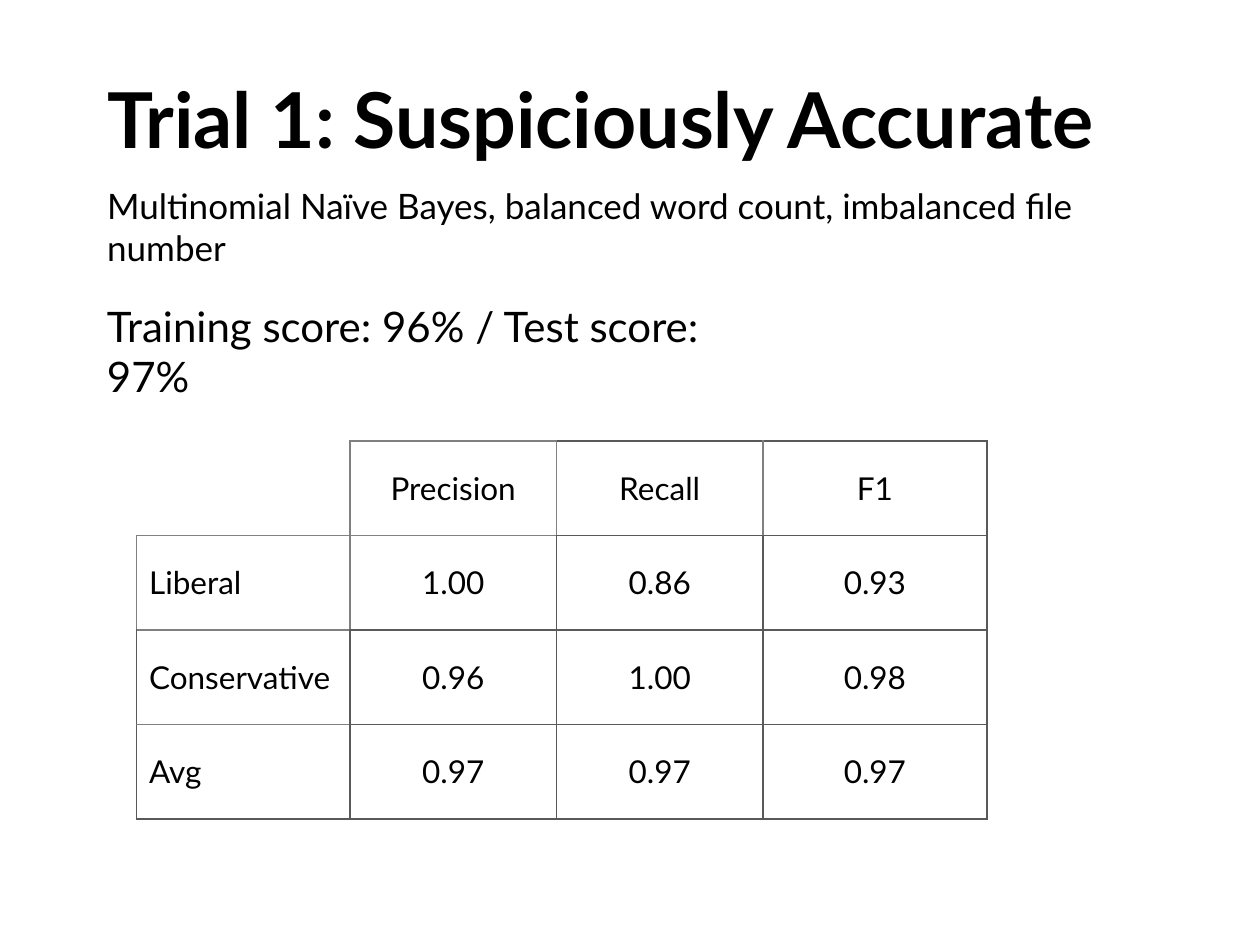
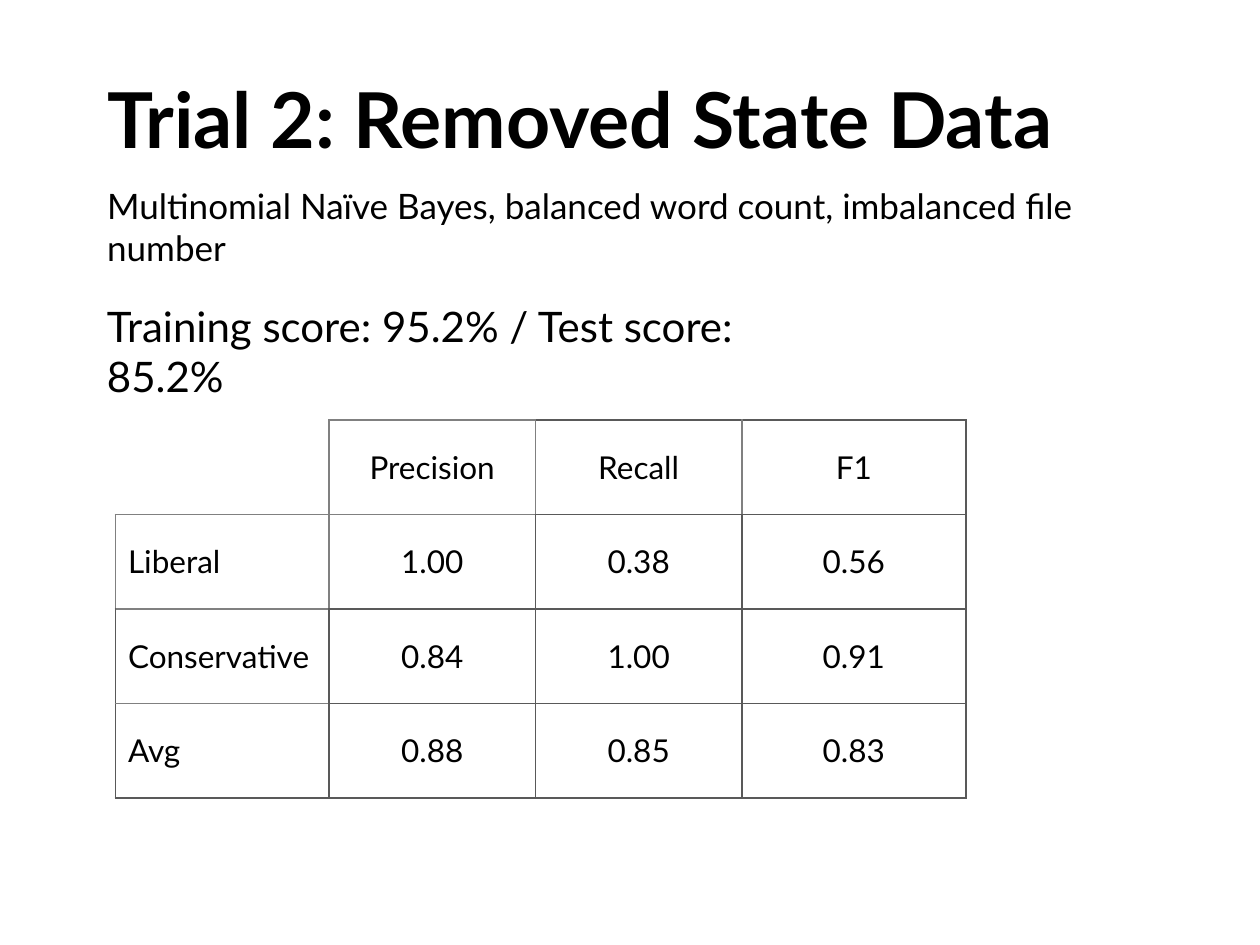
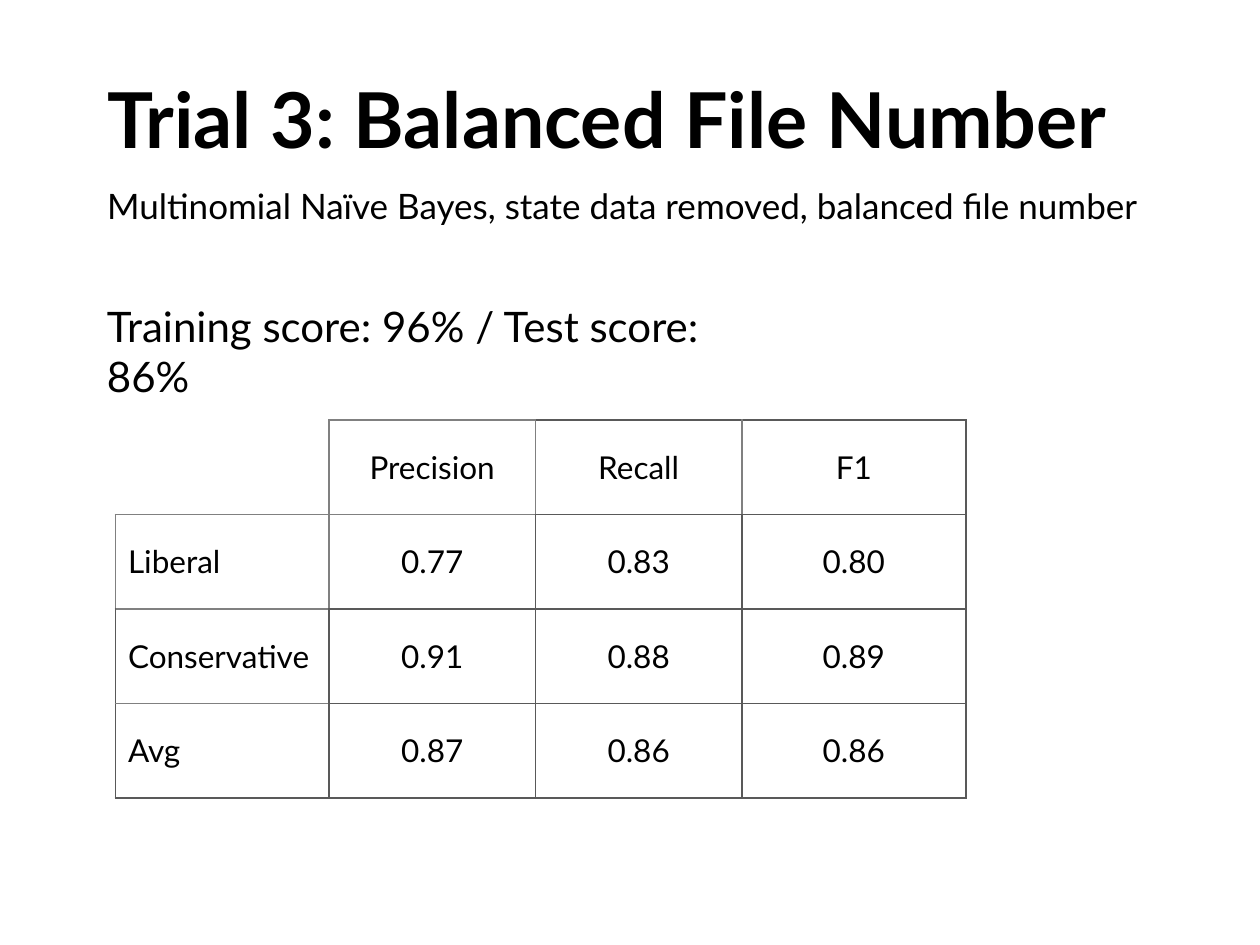
"""Build three slides that report the scores of classifier trials."""
from lxml import etree
from pptx import Presentation
from pptx.dml.color import RGBColor
from pptx.enum import text
from pptx.oxml import ns
from pptx.util import Pt

COLORS = {"ink": "000000", "dark": "595959", "light": "808080"}
FONT = "Lato"
IMBALANCED = "Multinomial Naïve Bayes, balanced word count, imbalanced file number"
BALANCED = "Multinomial Naïve Bayes, state data removed, balanced file number"
METRICS = ("", "Precision", "Recall", "F1")
CLASSES = ("Liberal", "Conservative", "Avg")

TRIALS = [
    {"title": "Trial 1: Suspiciously Accurate", "method": IMBALANCED,
     "score": "Training score: 96% / Test score: 97%",
     "score_width": 395, "grid_at": (78, 252),
     "values": [("1.00", "0.86", "0.93"), ("0.96", "1.00", "0.98"), ("0.97", "0.97", "0.97")]},
    {"title": "Trial 2: Removed State Data", "method": IMBALANCED,
     "score": "Training score: 95.2% / Test score: 85.2%",
     "score_width": 433, "grid_at": (66, 240),
     "values": [("1.00", "0.38", "0.56"), ("0.84", "1.00", "0.91"), ("0.88", "0.85", "0.83")]},
    {"title": "Trial 3: Balanced File Number", "method": BALANCED,
     "score": "Training score: 96% / Test score: 86%",
     "score_width": 395, "grid_at": (66, 240),
     "values": [("0.77", "0.83", "0.80"), ("0.91", "0.88", "0.89"), ("0.87", "0.86", "0.86")]},
]

LEFT = 54
TITLE_BOX = (LEFT, 22.5, 636, 90)
METHOD_BOX = (LEFT, 102, 623.5, 396)
SCORE_TOP, SCORE_HEIGHT = 168, 36
COLUMN_WIDTHS = (122, 118, 118, 128)
ROW_HEIGHT = 54
LIGHT_SIDES = {(0, 0): "RB", (0, 1): "LRTB", (0, 2): "LR", (0, 3): "L",
               (1, 0): "LRTB", (1, 1): "LT", (2, 0): "TB", (3, 0): "T"}
OPEN_SIDES = {(0, 0): "LT"}


def write(frame, words, size, bold=False, align=text.PP_ALIGN.LEFT):
    paragraph = frame.paragraphs[0]
    paragraph.alignment = align
    run = paragraph.add_run()
    run.text = words
    run.font.name, run.font.size, run.font.bold = FONT, Pt(size), bold
    run.font.color.rgb = RGBColor.from_string(COLORS["ink"])
    return paragraph


def place(box, bounds):
    box.left, box.top, box.width, box.height = map(Pt, bounds)
    box.text_frame.word_wrap = True
    box.text_frame.auto_size = text.MSO_AUTO_SIZE.NONE
    return box.text_frame


def draw_borders(cell, position):
    properties = cell._tc.get_or_add_tcPr()
    for side in "LRTB":
        line = etree.SubElement(properties, ns.qn(f"a:ln{side}"), w=str(Pt(1)))
        if side in OPEN_SIDES.get(position, ""):
            etree.SubElement(line, ns.qn("a:noFill"))
            continue
        shade = "light" if side in LIGHT_SIDES.get(position, "") else "dark"
        fill = etree.SubElement(line, ns.qn("a:solidFill"))
        etree.SubElement(fill, ns.qn("a:srgbClr"), val=COLORS[shade])


def add_results(slide, trial):
    rows = [METRICS] + [(name, *values) for name, values in zip(CLASSES, trial["values"])]
    left, top = trial["grid_at"]
    results = slide.shapes.add_table(
        len(rows), len(METRICS), Pt(left), Pt(top),
        Pt(sum(COLUMN_WIDTHS)), Pt(ROW_HEIGHT * len(rows))).table
    results.first_row = results.horz_banding = False
    for column, width in zip(results.columns, COLUMN_WIDTHS):
        column.width = Pt(width)
    for r, row in enumerate(rows):
        for c, words in enumerate(row):
            cell = results.cell(r, c)
            draw_borders(cell, (r, c))
            cell.fill.background()
            cell.vertical_anchor = text.MSO_ANCHOR.MIDDLE
            if words:
                align = text.PP_ALIGN.CENTER if c else text.PP_ALIGN.LEFT
                write(cell.text_frame, words, 18, align=align)


def add_trial(deck, trial):
    slide = deck.slides.add_slide(deck.slide_layouts[1])
    title = place(slide.shapes.title, TITLE_BOX)
    title.vertical_anchor = text.MSO_ANCHOR.MIDDLE
    write(title, trial["title"], 44, bold=True)
    method = write(place(slide.placeholders[1], METHOD_BOX), trial["method"], 20)
    bullet = method._p.get_or_add_pPr()
    bullet.set("marL", "0")
    bullet.set("indent", "0")
    etree.SubElement(bullet, ns.qn("a:buNone"))
    add_results(slide, trial)
    bounds = (LEFT, SCORE_TOP, trial["score_width"], SCORE_HEIGHT)
    score = slide.shapes.add_textbox(*map(Pt, bounds))
    write(place(score, bounds), trial["score"], 24)


def main():
    deck = Presentation()
    deck.slide_width, deck.slide_height = Pt(720), Pt(540)
    for trial in TRIALS:
        add_trial(deck, trial)
    deck.save("out.pptx")


if __name__ == "__main__":
    main()
